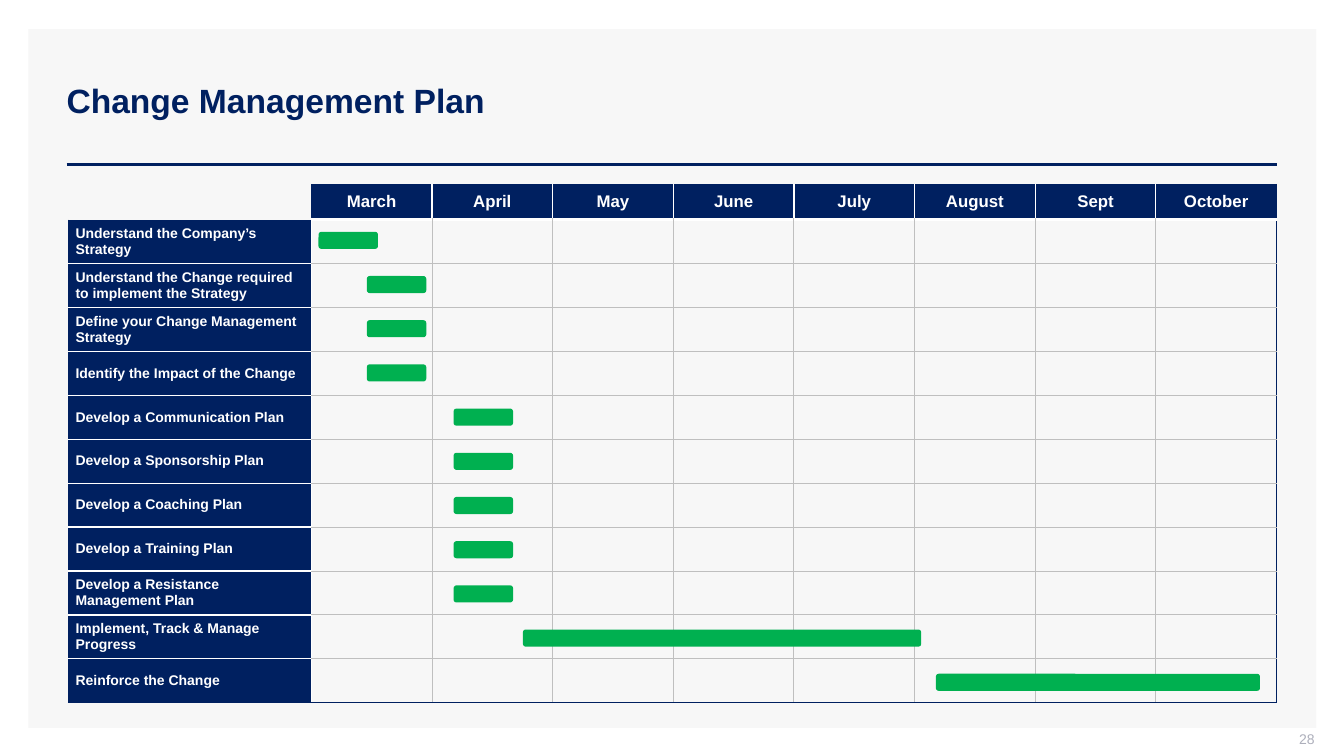
from dataclasses import dataclass

from pptx import Presentation
from pptx.dml.color import RGBColor
from pptx.enum import shapes, text
from pptx.oxml import ns, xmlchemy
from pptx.util import Pt


@dataclass(frozen=True)
class Theme:
    """Colours, font and type sizes of the slide."""
    font: str = "Arial"
    navy: str = "002060"
    white: str = "FFFFFF"
    panel: str = "F7F7F7"
    grid: str = "BFBFBF"
    bar: str = "00B050"
    muted: str = "ADAFBB"
    title_size: float = 24
    month_size: float = 12
    task_size: float = 10
    number_size: float = 10


THEME = Theme()
MONTHS = ["March", "April", "May", "June", "July", "August", "Sept", "October"]
TASKS = [
    ("Understand the Company’s Strategy", 227.5, 42.5),
    ("Understand the Change required to implement the Strategy", 262, 42.5),
    ("Define your Change Management Strategy", 262, 42.5),
    ("Identify the Impact of the Change", 262, 42.5),
    ("Develop a Communication Plan", 324, 42.5),
    ("Develop a Sponsorship Plan", 324, 42.5),
    ("Develop a Coaching Plan", 324, 42.5),
    ("Develop a Training Plan", 324, 42.5),
    ("Develop a Resistance Management Plan", 324, 42.5),
    ("Implement, Track & Manage Progress", 373.5, 284.5),
    ("Reinforce the Change", 668.5, 231.5),
]
PLAN_LEFT, PLAN_TOP = 48.8, 131.6
TASK_WIDTH, MONTH_WIDTH = 173.6, 86.2
HEADER_HEIGHT, TASK_HEIGHT = 25.2, 31.4
BAR_TOP, BAR_PITCH, BAR_HEIGHT = 165.6, 31.57, 12.2


def color(code):
    """Turn a hex code into a colour."""
    return RGBColor.from_string(code)


def write(frame, words, size, ink, align, bold=True):
    """Write one run into the first paragraph of a text frame."""
    paragraph = frame.paragraphs[0]
    paragraph.alignment = align
    run = paragraph.add_run()
    run.text = words
    run.font.name = THEME.font
    run.font.size = Pt(size)
    run.font.bold = bold
    run.font.color.rgb = color(ink)


def add_block(slide, kind, left, top, width, height, fill):
    """Add a plain filled shape without outline or shadow."""
    block = slide.shapes.add_shape(kind, Pt(left), Pt(top), Pt(width), Pt(height))
    block.shadow.inherit = False
    block.fill.solid()
    block.fill.fore_color.rgb = color(fill)
    block.line.fill.background()
    return block


def add_heading(slide, words):
    """Format the title placeholder and lay the panel behind it."""
    title = slide.shapes.title
    title.left, title.top, title.width, title.height = Pt(40.3), Pt(28.8), Pt(872), Pt(85.7)
    title.text_frame.vertical_anchor = text.MSO_ANCHOR.MIDDLE
    write(title.text_frame, words, THEME.title_size, THEME.navy, text.PP_ALIGN.LEFT)
    panel = add_block(slide, shapes.MSO_SHAPE.RECTANGLE, 20.2, 20.9, 920, 499, THEME.panel)
    title.element.addprevious(panel.element)


def add_rule(slide, left, right, y):
    """Draw the horizontal rule under the title."""
    rule = slide.shapes.add_connector(
        shapes.MSO_CONNECTOR.STRAIGHT, Pt(left), Pt(y), Pt(right), Pt(y))
    rule.line.color.rgb = color(THEME.navy)
    rule.line.width = Pt(2)
    rule.element.spPr.append(xmlchemy.OxmlElement("a:effectLst"))


def add_page_number(slide, number):
    """Place the page number at the bottom right."""
    corner = slide.shapes.add_textbox(Pt(723), Pt(522), Pt(216), Pt(15))
    frame = corner.text_frame
    frame.word_wrap = True
    frame.vertical_anchor = text.MSO_ANCHOR.MIDDLE
    frame.margin_left, frame.margin_right = Pt(7.2), 0
    frame.margin_top, frame.margin_bottom = 0, Pt(3.6)
    write(frame, number, THEME.number_size, THEME.muted, text.PP_ALIGN.RIGHT, bold=False)


def vertical_edge(row, line):
    """Return colour and width of a vertical grid line beside a row."""
    if row == 0 and line <= 1:
        return None
    if line in (0, len(MONTHS) + 1):
        return THEME.navy, 0.75
    if row == 0 or line == 1:
        return THEME.white, 1
    return THEME.grid, 0.75


def horizontal_edge(line, column):
    """Return colour and width of a horizontal grid line in a column."""
    if column == 0 and line <= 1:
        return None
    if line in (0, len(TASKS) + 1):
        return THEME.navy, 0.75
    if column == 0:
        return THEME.white, 1
    if line == 1:
        return THEME.white, 3
    return THEME.grid, 0.75


def set_borders(cell, edges):
    """Set the left, right, top and bottom borders of a cell."""
    properties = cell._tc.get_or_add_tcPr()
    for position, (tag, edge) in enumerate(zip(("lnL", "lnR", "lnT", "lnB"), edges)):
        border = xmlchemy.OxmlElement(f"a:{tag}")
        if edge:
            ink, width = edge
            border.set("w", str(int(Pt(width))))
            fill = xmlchemy.OxmlElement("a:solidFill")
            shade = xmlchemy.OxmlElement("a:srgbClr")
            shade.set("val", ink)
            fill.append(shade)
            border.append(fill)
        else:
            border.append(xmlchemy.OxmlElement("a:noFill"))
        properties.insert(position, border)


def format_cell(cell, row, column):
    """Fill, label and border one cell of the plan."""
    cell.margin_left = cell.margin_right = Pt(5.2)
    cell.margin_top = cell.margin_bottom = 0
    cell.vertical_anchor = text.MSO_ANCHOR.MIDDLE
    if (row == 0) != (column == 0):
        cell.fill.solid()
        cell.fill.fore_color.rgb = color(THEME.navy)
        if row == 0:
            write(cell.text_frame, MONTHS[column - 1], THEME.month_size,
                  THEME.white, text.PP_ALIGN.CENTER)
        else:
            write(cell.text_frame, TASKS[row - 1][0], THEME.task_size,
                  THEME.white, text.PP_ALIGN.LEFT)
    else:
        cell.fill.background()
    set_borders(cell, (vertical_edge(row, column), vertical_edge(row, column + 1),
                       horizontal_edge(row, column), horizontal_edge(row + 1, column)))


def add_plan(slide):
    """Add the table of tasks against months."""
    widths = [TASK_WIDTH] + [MONTH_WIDTH] * len(MONTHS)
    heights = [HEADER_HEIGHT] + [TASK_HEIGHT] * len(TASKS)
    plan = slide.shapes.add_table(
        len(heights), len(widths), Pt(PLAN_LEFT), Pt(PLAN_TOP),
        Pt(sum(widths)), Pt(sum(heights))).table
    plan.first_row = plan.horz_banding = False
    for column, width in enumerate(widths):
        plan.columns[column].width = Pt(width)
    for row, height in enumerate(heights):
        plan.rows[row].height = Pt(height)
        for column in range(len(widths)):
            format_cell(plan.cell(row, column), row, column)


def add_bars(slide):
    """Add one schedule bar for each task."""
    for index, (_, start, length) in enumerate(TASKS):
        add_block(slide, shapes.MSO_SHAPE.ROUNDED_RECTANGLE, start,
                  BAR_TOP + index * BAR_PITCH, length, BAR_HEIGHT, THEME.bar)


def main():
    """Build the slide and save it."""
    deck = Presentation()
    deck.slide_width, deck.slide_height = Pt(960), Pt(540)
    slide = deck.slides.add_slide(deck.slide_layouts[5])
    add_heading(slide, "Change Management Plan")
    add_rule(slide, 47.6, 912.2, 117.4)
    add_page_number(slide, "28")
    add_plan(slide)
    add_bars(slide)
    deck.save("out.pptx")


if __name__ == "__main__":
    main()
